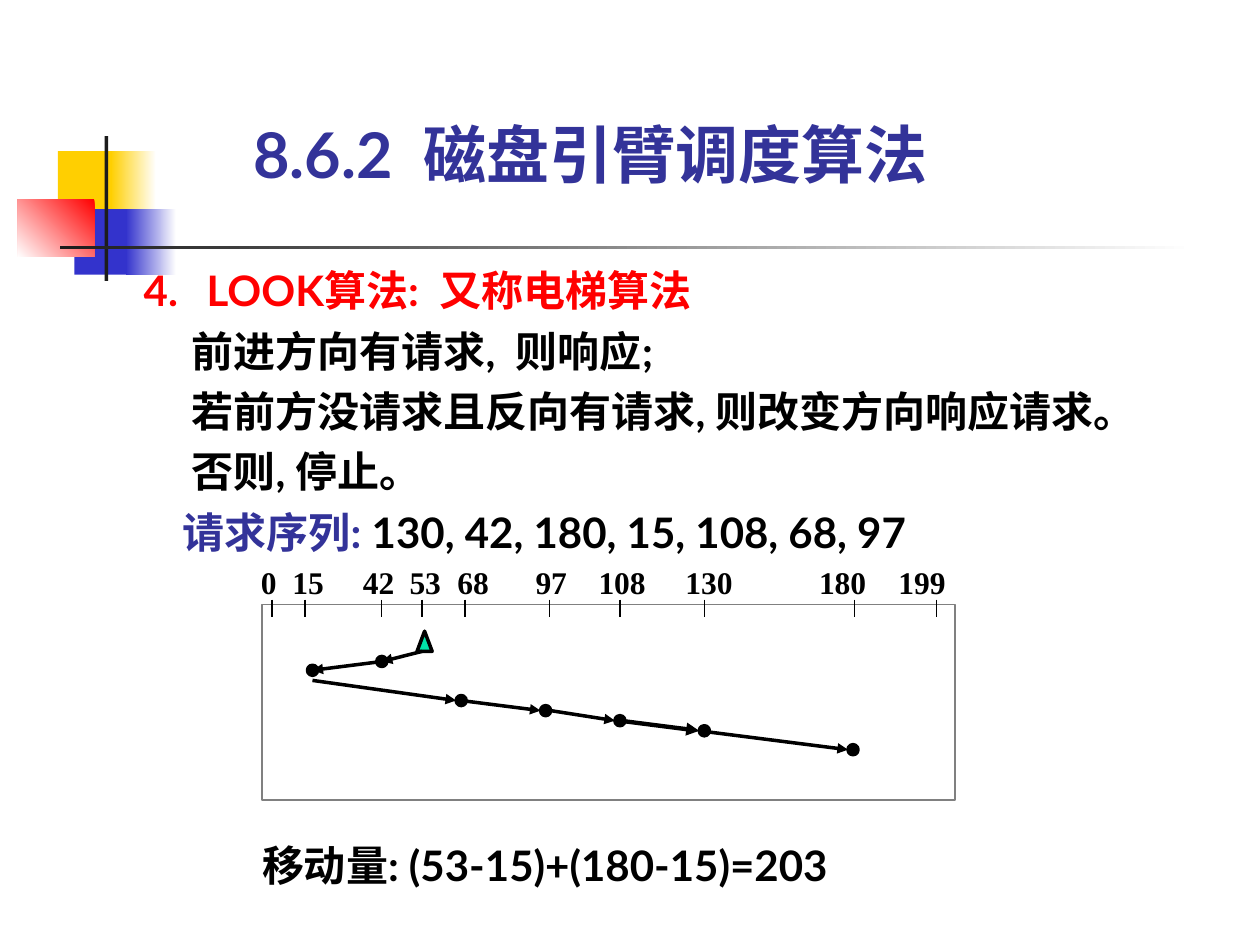
from lxml import etree
from pptx import Presentation
from pptx.dml.color import RGBColor
from pptx.enum.shapes import MSO_CONNECTOR as CONN, MSO_SHAPE as SHAPE
from pptx.enum.text import MSO_ANCHOR, PP_ALIGN
from pptx.oxml.ns import qn
from pptx.util import Inches, Pt

BLACK = RGBColor(0x00, 0x00, 0x00)
WHITE = RGBColor(0xFF, 0xFF, 0xFF)
CHARCOAL = RGBColor(0x1C, 0x1C, 0x1C)
GRAY = RGBColor(0x80, 0x80, 0x80)
YELLOW = RGBColor(0xFF, 0xCF, 0x01)
BLUE = RGBColor(0x33, 0x33, 0xCC)
NAVY = RGBColor(0x33, 0x33, 0x99)
RED = RGBColor(0xFF, 0x00, 0x00)
GREEN = RGBColor(0x00, 0xE4, 0xA8)

prs = Presentation()
prs.slide_width, prs.slide_height = Inches(10), Inches(7.5)
s = prs.slides.add_slide(prs.slide_layouts[6])


def add_text(box, paragraphs, size, font="Lato", spacing=None):
    tf = s.shapes.add_textbox(*map(Inches, box)).text_frame
    tf.word_wrap = True
    tf.margin_left = tf.margin_right = tf.margin_top = tf.margin_bottom = 0
    for i, runs in enumerate(paragraphs):
        p = tf.paragraphs[0] if i == 0 else tf.add_paragraph()
        p.line_spacing = spacing
        for text, color in runs:
            r = p.add_run()
            r.text = text
            r.font.name, r.font.size, r.font.bold = font, Pt(size), True
            r.font.color.rgb = color
    return tf


def add_line(start, end, width, arrow=False):
    c = s.shapes.add_connector(CONN.STRAIGHT, *map(Inches, start + end))
    c.line.color.rgb = BLACK
    c.line.width = Pt(width)
    if arrow:
        etree.SubElement(c.line._get_or_add_ln(), qn("a:tailEnd"), type="triangle")
    etree.SubElement(c._element.spPr, qn("a:effectLst"))


ornaments = [
    ((0.46, 1.2, 0.48, 0.52), [YELLOW], 0),
    ((0.88, 1.2, 0.36, 0.52), [WHITE, YELLOW], 180),
    ((0.59, 1.66, 0.46, 0.52), [BLUE], 0),
    ((1, 1.66, 0.4, 0.52), [WHITE, BLUE], 180),
    ((0.14, 1.58, 0.61, 0.46), [RED, WHITE], 225),
    ((0.83, 1.08, 0.03, 1.15), [CHARCOAL], 0),
    ((0.48, 1.95, 9, 0.03), [WHITE, CHARCOAL], 180),
]
for box, colors, angle in ornaments:
    sp = s.shapes.add_shape(SHAPE.RECTANGLE, *map(Inches, box))
    sp.shadow.inherit = False
    sp.line.fill.background()
    if len(colors) == 1:
        sp.fill.solid()
        sp.fill.fore_color.rgb = colors[0]
    else:
        sp.fill.gradient()
        sp.fill.gradient_angle = angle
        for stop, color in zip(sp.fill.gradient_stops, colors):
            stop.color.rgb = color

title = add_text((2.01, 0.92, 5.75, 0.6), [[("8.6.2  磁盘引臂调度算法", NAVY)]], 36)
title.vertical_anchor = MSO_ANCHOR.BOTTOM

body = add_text((1.14, 2.02, 8.11, 2.4), [
    [("LOOK算法:  又称电梯算法", RED)],
    [("前进方向有请求,  则响应;", BLACK)],
    [("若前方没请求且反向有请求, 则改变方向响应请求。", BLACK)],
    [("否则, 停止。", BLACK)],
    [("请求序列:", NAVY), (" 130, 42, 180, 15, 108, 68, 97", BLACK)],
], 24, spacing=1.2)
for p, indent in zip(body.paragraphs, [0.5, 0.38, 0.38, 0.38, 0.31]):
    p._p.get_or_add_pPr().set("marL", str(Inches(indent)))
pPr = body.paragraphs[0]._p.get_or_add_pPr()
pPr.set("indent", str(Inches(-0.5)))
bullet_color = etree.SubElement(pPr, qn("a:buClr"))
etree.SubElement(bullet_color, qn("a:srgbClr"), val=str(RED))
etree.SubElement(pPr, qn("a:buFont"), typeface="Lato")
etree.SubElement(pPr, qn("a:buAutoNum"), type="arabicPeriod", startAt="4")

add_text((2.08, 6.58, 5.76, 0.48), [[("移动量: (53-15)+(180-15)=203", BLACK)]], 24, spacing=1.2)

frame = s.shapes.add_shape(SHAPE.RECTANGLE, Inches(2.08), Inches(4.8), Inches(5.5), Inches(1.55))
frame.shadow.inherit = False
frame.fill.background()
frame.line.color.rgb = GRAY
frame.line.width = Pt(0.75)

tracks = [0, 15, 42, 53, 68, 97, 108, 130, 180, 199]
labels = add_text((2.07, 4.47, 5.49, 0.3), [[("\t".join(map(str, tracks)), BLACK)]], 18, "Times New Roman")
p = labels.paragraphs[0]
p.alignment = PP_ALIGN.LEFT
tabs = etree.SubElement(p._p.get_or_add_pPr(), qn("a:tabLst"))
for stop in [0.25, 0.81, 1.18, 1.56, 2.18, 2.68, 3.37, 4.43, 5.06]:
    etree.SubElement(tabs, qn("a:tab"), pos=str(Inches(stop)), algn="l")

for x in [2.16, 2.42, 3.03, 3.35, 3.69, 4.36, 4.92, 5.59, 6.78, 7.43]:
    add_line((x, 4.76), (x, 4.9), 0.75)

head = s.shapes.add_shape(SHAPE.ISOSCELES_TRIANGLE, Inches(3.31), Inches(5.01), Inches(0.12), Inches(0.16))
head.shadow.inherit = False
head.fill.solid()
head.fill.fore_color.rgb = GREEN
head.line.color.rgb = BLACK
head.line.width = Pt(2)

moves = [
    ((3.35, 5.17), (3.03, 5.25), 2, 3.03),
    ((3.03, 5.25), (2.48, 5.32), 2, 2.48),
    ((2.48, 5.4), (3.62, 5.56), 2, 3.66),
    ((3.66, 5.56), (4.29, 5.64), 2, 4.33),
    ((4.37, 5.64), (4.88, 5.72), 2, 4.92),
    ((4.92, 5.72), (5.55, 5.8), 2.5, 5.59),
    ((5.55, 5.8), (6.73, 5.95), 2, 6.77),
]
for start, end, width, dot_x in moves:
    add_line(start, end, width, arrow=True)
    dot = s.shapes.add_shape(SHAPE.OVAL, Inches(dot_x - 0.04), Inches(end[1] - 0.04), Inches(0.08), Inches(0.08))
    dot.shadow.inherit = False
    dot.fill.solid()
    dot.fill.fore_color.rgb = BLACK
    dot.line.color.rgb = BLACK
    dot.line.width = Pt(2)

prs.save("out.pptx")
